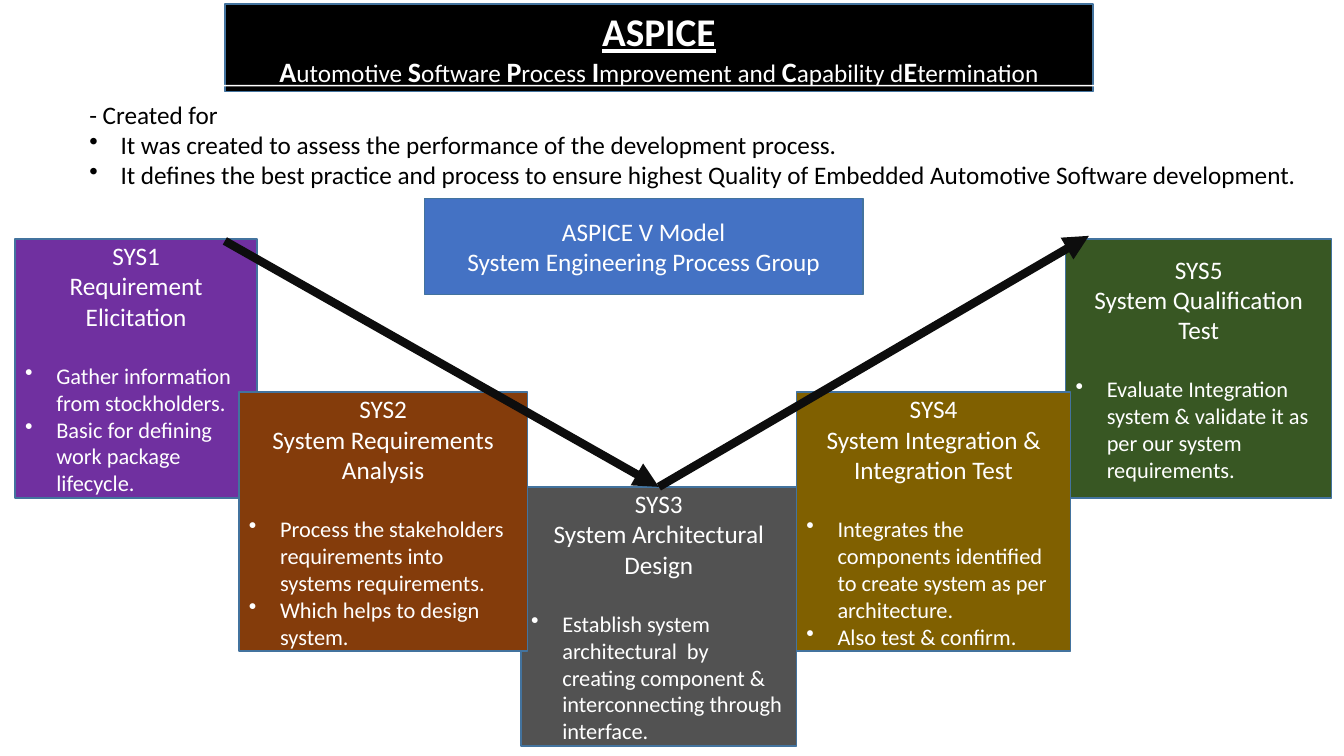
from lxml import etree
from pptx import Presentation
from pptx import util as u
from pptx.dml.color import RGBColor
from pptx.enum import shapes, text
from pptx.oxml.ns import qn

# Content: initials between asterisks are emphasised
TITLE = "ASPICE"
MEANING = ("*A*utomotive *S*oftware *P*rocess *I*mprovement and "
           "*C*apability d*E*termination")
INTRO = "- Created for"
PURPOSES = [
    "It was created to assess the performance of the development process.",
    "It defines the best practice and process to ensure highest Quality of "
    "Embedded Automotive Software development.",
]
MODEL = ["ASPICE V Model", "System Engineering Process Group"]

# Steps from back to front: name, heading, bullets, fill, left, width, tier
STEPS = [
    ("SYS1", "Requirement Elicitation",
     ["Gather information from stockholders.",
      "Basic for defining work package lifecycle."], "7030A0", 1.13, 18, 0),
    ("SYS5", "System Qualification Test",
     ["Evaluate Integration system & validate it as per our system requirements."],
     "385723", 79.29, 19.8, 0),
    ("SYS4", "System Integration & Integration Test",
     ["Integrates the components identified to create system as per architecture.",
      "Also test & confirm."], "806000", 59.26, 20.41, 1),
    ("SYS3", "System Architectural Design",
     ["Establish system architectural  by creating component & "
      "interconnecting through interface."], "525252", 38.78, 20.48, 2),
    ("SYS2", "System Requirements Analysis",
     ["Process the stakeholders requirements into systems requirements.",
      "Which helps to design system."], "843C0B", 17.78, 21.46, 1),
]

# Layout, in percent of the slide's width and height
TIER_TOPS = [31.6, 51.87, 64.4]
STEP_HEIGHT = 34.27
TITLE_AREA = (16.73, 0.53, 64.59, 11.6)
PURPOSE_AREA = (5.48, 11.33, 93.62, 15.6)
MODEL_AREA = (31.58, 26.27, 32.63, 12.67)
V_START, V_END = (16.73, 31.87), (81.02, 31.2)
INDENT = u.Inches(0.31)

deck = Presentation()
deck.slide_width, deck.slide_height = u.Inches(13.33), u.Inches(7.5)
page = deck.slides.add_slide(deck.slide_layouts[6])


def color(value):
    return RGBColor.from_string(value)


def across(share):
    return round(deck.slide_width * share / 100)


def down(share):
    return round(deck.slide_height * share / 100)


def add_box(area, fill=None, line="43739E", kind=shapes.MSO_SHAPE.RECTANGLE):
    left, top, width, height = area
    box = page.shapes.add_shape(kind, across(left), down(top), across(width), down(height))
    box.shadow.inherit = False
    if fill:
        box.fill.solid()
        box.fill.fore_color.rgb = color(fill)
    else:
        box.fill.background()
    box.line.color.rgb = color(line)
    box.line.width = u.Pt(1)
    box.text_frame.word_wrap = True
    box.text_frame.vertical_anchor = text.MSO_ANCHOR.MIDDLE
    return box


def add_para(box, words="", size=18, ink="FFFFFF", bullet=False, centered=True):
    frame = box.text_frame
    para = frame.paragraphs[0]
    if para.runs:
        para = frame.add_paragraph()
    para.alignment = text.PP_ALIGN.CENTER if centered else text.PP_ALIGN.LEFT
    if words:
        para.add_run().text = words
    para.font.name, para.font.size = "Calibri", u.Pt(size)
    para.font.color.rgb = color(ink)
    if bullet:
        props = para._p.get_or_add_pPr()
        props.set("marL", str(INDENT))
        props.set("indent", str(-INDENT))
        mark = etree.Element(qn("a:buChar"), char="•")
        props.find(qn("a:defRPr")).addprevious(mark)
    return para


def add_arrow(start, end):
    arrow = page.shapes.add_connector(
        shapes.MSO_CONNECTOR.STRAIGHT,
        across(start[0]), down(start[1]), across(end[0]), down(end[1]))
    arrow.line.color.rgb = color("0D0D0D")
    arrow.line.width = u.Pt(6)
    etree.SubElement(arrow.line._get_or_add_ln(), qn("a:tailEnd"), type="triangle")
    etree.SubElement(arrow._element.spPr, qn("a:effectLst"))
    return arrow


# Title banner
banner = add_box(TITLE_AREA, "000000")
heading = add_para(banner, TITLE, 28)
heading.font.bold = heading.font.underline = True
meaning = add_para(banner)
for position, piece in enumerate(MEANING.split("*")):
    if piece:
        span = meaning.add_run()
        span.text = piece
        span.font.bold = position % 2 == 1
        span.font.size = u.Pt(20 if span.font.bold else 18)

# Purpose
purpose = add_box(PURPOSE_AREA, line="FFFFFF", kind=shapes.MSO_SHAPE.ROUNDED_RECTANGLE)
add_para(purpose, INTRO, ink="000000", centered=False)
for line in PURPOSES:
    add_para(purpose, line, ink="000000", bullet=True, centered=False)

# Process steps
step_boxes = {}
for name, label, bullets, fill, left, width, tier in STEPS:
    step = add_box((left, TIER_TOPS[tier], width, STEP_HEIGHT), fill)
    add_para(step, name)
    add_para(step, label)
    for number, line in enumerate(bullets):
        para = add_para(step, line, 16, bullet=True, centered=False)
        if number == 0:
            para.space_before = u.Pt(22)
    step_boxes[name] = step

# Model name
model = add_box(MODEL_AREA, "4472C4")
for line in MODEL:
    add_para(model, line)

# V arrows, meeting at the top of the lowest step
V_BOTTOM = (49.02, TIER_TOPS[2])
add_arrow(V_START, V_BOTTOM).end_connect(step_boxes["SYS3"], 0)
add_arrow(V_BOTTOM, V_END).begin_connect(step_boxes["SYS3"], 0)

deck.save("out.pptx")
